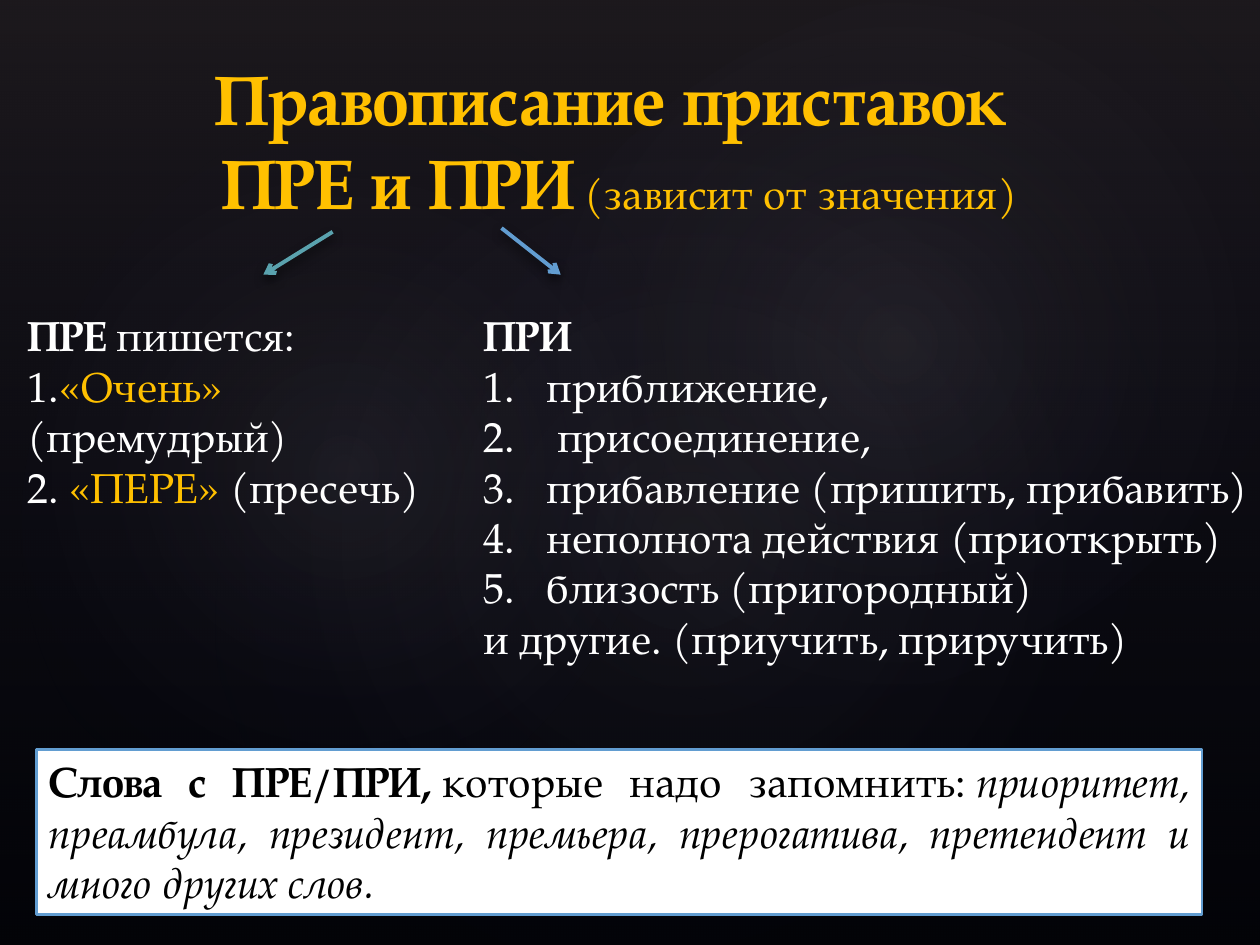
from dataclasses import dataclass, field

from lxml import etree
from pptx import Presentation
from pptx import util as u
from pptx.dml.color import RGBColor
from pptx.enum import shapes, text
from pptx.oxml import ns

FONT = "TeX Gyre Pagella"
COLORS = {
    "black": "000000", "white": "FFFFFF", "gold": "FFC000",
    "teal": "5AA2AE", "blue": "629DD1",
    "mauve": "504652", "navy": "242852", "glow": "C4BCC6",
}
LEFT, CENTER, JUSTIFY = (text.PP_ALIGN.LEFT, text.PP_ALIGN.CENTER,
                         text.PP_ALIGN.JUSTIFY)


@dataclass
class Run:
    words: str
    color: str = "white"
    size: float = 24
    style: dict = field(default_factory=dict)


@dataclass
class Para:
    runs: list[Run]
    align: int = LEFT
    numbered: bool = False


@dataclass
class Glow:
    box: tuple[float, float, float, float]
    rotation: float
    opacity: int


@dataclass
class Arrow:
    start: tuple[float, float]
    end: tuple[float, float]
    color: str


BOLD = {"bold": True}
ITALIC = {"italic": True}

GLOWS = [
    Glow((1.5, 1.14, 7.92, 6.24), 328.7, 7),
    Glow((-0.3, 1.28, 6.06, 4.9), 294.3, 8),
    Glow((3.58, 0.13, 7.09, 5.2), 328.7, 8),
]
ARROWS = [
    Arrow((2.64, 1.84), (2.09, 2.18), "teal"),
    Arrow((3.98, 1.81), (4.45, 2.18), "blue"),
]
TITLE = [
    Para([Run("Правописание приставок ", "gold", 40, BOLD)], CENTER),
    Para([Run("ПРЕ и ПРИ", "gold", 40, BOLD),
          Run(" (зависит от значения)", "gold")], CENTER),
]
PRE_RULES = [
    Para([Run("ПРЕ\u00a0", style=BOLD), Run("пишется:\u00a0")], JUSTIFY),
    Para([Run("1."), Run("«Очень» ", "gold"), Run("(премудрый)")], JUSTIFY),
    Para([Run("2. "), Run("«ПЕРЕ» ", "gold"), Run("(пресечь)")], JUSTIFY),
]
PRI_MEANINGS = [
    "приближение,", " присоединение,", "прибавление (пришить, прибавить)",
    "неполнота действия (приоткрыть)", "близость (пригородный)",
]
PRI_RULES = [
    Para([Run("ПРИ\u00a0", style=BOLD)]),
    *(Para([Run(meaning)], numbered=True) for meaning in PRI_MEANINGS),
    Para([Run("и другие. (приучить, приручить)")]),
]
MEMO = [Para([
    Run("Слова с ПРЕ/ПРИ,", "black", style=BOLD),
    Run("\u00a0которые надо запомнить:\u00a0", "black"),
    Run("приоритет, преамбула, президент, премьера, прерогатива, "
        "претендент и много других слов.", "black", style=ITALIC),
], JUSTIFY)]


def rgb(name: str) -> RGBColor:
    return RGBColor.from_string(COLORS[name])


def inches(values) -> list:
    return [u.Inches(value) for value in values]


def add_xml(parent, tag: str, **attributes):
    child = etree.SubElement(parent, ns.qn(tag))
    for key, value in attributes.items():
        child.set(key, str(value))
    return child


def add_color(parent, name: str, opacity: int) -> None:
    color = add_xml(parent, "a:srgbClr", val=COLORS[name])
    add_xml(color, "a:alpha", val=opacity * 1000)


def add_gradient(slide, kind, box, stops, radial=False, rotation=0.0) -> None:
    shape = slide.shapes.add_shape(kind, *inches(box))
    shape.rotation = rotation
    shape.shadow.inherit = False
    shape.line.fill.background()
    gradient = etree.Element(ns.qn("a:gradFill"), rotWithShape="1")
    stop_list = add_xml(gradient, "a:gsLst")
    for position, name, opacity in stops:
        stop = add_xml(stop_list, "a:gs", pos=position * 1000)
        add_color(stop, name, opacity)
    if radial:
        circle = add_xml(gradient, "a:path", path="circle")
        add_xml(circle, "a:fillToRect", l=50000, t=50000, r=50000, b=50000)
    else:
        add_xml(gradient, "a:lin", ang=90 * 60000, scaled=0)
    shape.element.spPr.find(ns.qn("a:prstGeom")).addnext(gradient)


def write(frame, paras: list[Para]) -> None:
    settings = {"word_wrap": True, "vertical_anchor": text.MSO_ANCHOR.TOP,
                "auto_size": text.MSO_AUTO_SIZE.SHAPE_TO_FIT_TEXT}
    for key, value in settings.items():
        setattr(frame, key, value)
    for index, para in enumerate(paras):
        line = frame.add_paragraph() if index else frame.paragraphs[0]
        line.alignment = para.align
        if para.numbered:
            props = line._p.get_or_add_pPr()
            props.set("marL", str(u.Inches(0.5)))
            props.set("indent", str(u.Inches(-0.5)))
            add_xml(props, "a:buFont", typeface=FONT)
            add_xml(props, "a:buAutoNum", type="arabicPeriod")
        for part in para.runs:
            run = line.add_run()
            run.text = part.words
            run.font.color.rgb = rgb(part.color)
            look = {"name": FONT, "size": u.Pt(part.size),
                    "bold": False, **part.style}
            for key, value in look.items():
                setattr(run.font, key, value)


def add_text(slide, box, paras: list[Para]) -> None:
    write(slide.shapes.add_textbox(*inches(box)).text_frame, paras)


def add_memo(slide, box, paras: list[Para]) -> None:
    memo = slide.shapes.add_shape(shapes.MSO_SHAPE.RECTANGLE, *inches(box))
    memo.shadow.inherit = False
    memo.fill.solid()
    memo.fill.fore_color.rgb = rgb("white")
    memo.line.color.rgb = rgb("blue")
    memo.line.width = u.Pt(1.5)
    write(memo.text_frame, paras)


def add_arrow(slide, arrow: Arrow) -> None:
    line = slide.shapes.add_connector(
        shapes.MSO_CONNECTOR.STRAIGHT, *inches(arrow.start + arrow.end))
    line.line.color.rgb = rgb(arrow.color)
    line.line.width = u.Pt(2.25)
    add_xml(line.line._get_or_add_ln(), "a:tailEnd", type="arrow")
    effects = add_xml(line.element.spPr, "a:effectLst")
    shadow = add_xml(effects, "a:outerShdw", blurRad=u.Pt(6), dist=u.Pt(3),
                     dir=90 * 60000, rotWithShape=0)
    add_color(shadow, "black", 60)


def main() -> None:
    deck = Presentation()
    deck.slide_width, deck.slide_height = inches((10, 7.5))
    slide = deck.slides.add_slide(deck.slide_layouts[6])

    # Dark backdrop with soft glows
    slide.background.fill.solid()
    slide.background.fill.fore_color.rgb = rgb("black")
    add_gradient(slide, shapes.MSO_SHAPE.RECTANGLE, (0, 0, 10, 7.5),
                 [(0, "mauve", 36), (100, "navy", 10)])
    for glow in GLOWS:
        add_gradient(slide, shapes.MSO_SHAPE.OVAL, glow.box,
                     [(0, "glow", glow.opacity), (58, "navy", 0)],
                     radial=True, rotation=glow.rotation)

    # Title, the two rule columns and the words to remember
    add_text(slide, (0.29, 0.39, 9.25, 1.45), TITLE)
    add_text(slide, (3.74, 2.41, 9.46, 3.53), PRI_RULES)
    add_text(slide, (0.12, 2.41, 3.62, 1.72), PRE_RULES)
    add_memo(slide, (0.29, 5.95, 9.25, 1.31), MEMO)

    # Arrows from the title to each column
    for arrow in ARROWS:
        add_arrow(slide, arrow)

    deck.save("out.pptx")


if __name__ == "__main__":
    main()
